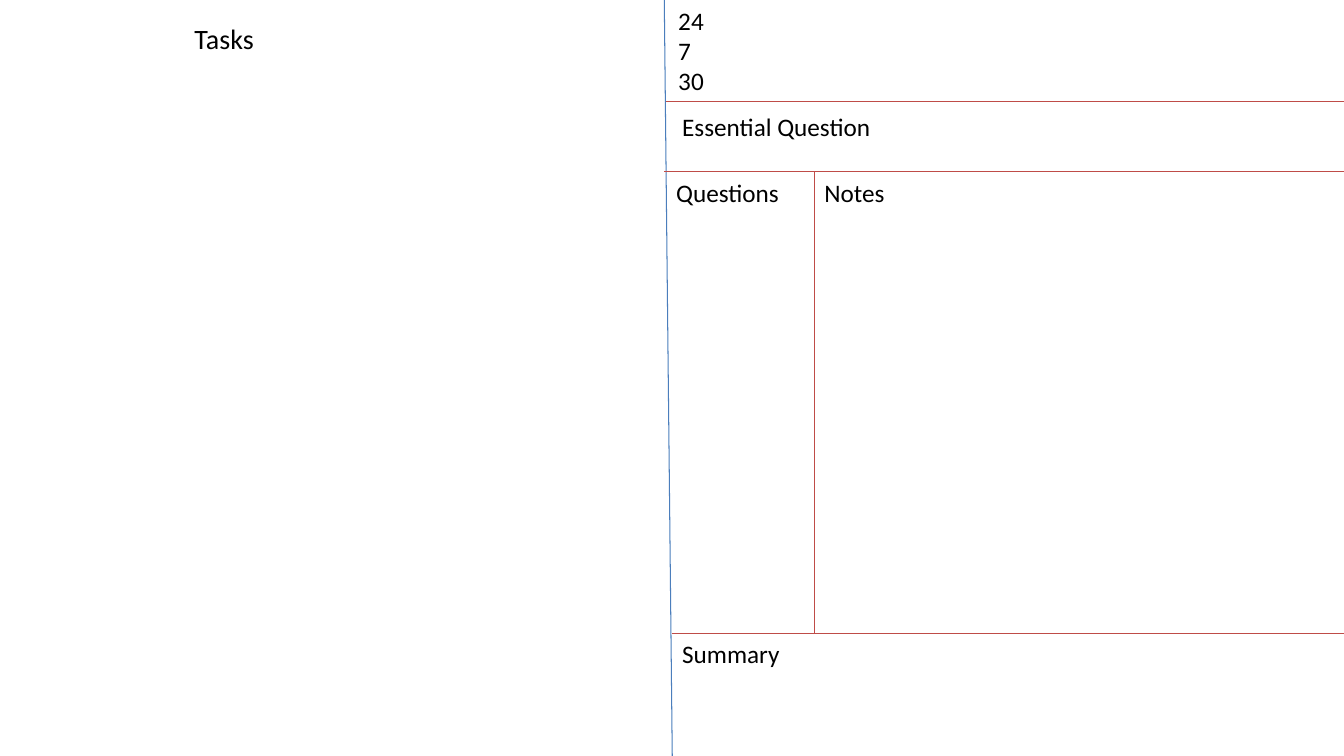
from dataclasses import dataclass

from pptx import Presentation
from pptx.dml.color import RGBColor
from pptx.enum.shapes import MSO_CONNECTOR
from pptx.enum.text import MSO_AUTO_SIZE
from pptx.oxml.ns import qn
from pptx.util import Pt


@dataclass(frozen=True)
class Theme:
    font: str = "Calibri"
    text: RGBColor = RGBColor(0x00, 0x00, 0x00)
    paper: RGBColor = RGBColor(0xFF, 0xFF, 0xFF)
    divider: RGBColor = RGBColor(0x4B, 0x7E, 0xBC)
    rule: RGBColor = RGBColor(0xBF, 0x4C, 0x48)
    label_size: float = 18
    heading_size: float = 20
    line_width: float = 0.75


class NotebookPage:
    def __init__(self, deck, theme):
        self.theme = theme
        self.page = deck.slides.add_slide(deck.slide_layouts[6])
        background = self.page.background.fill
        background.solid()
        background.fore_color.rgb = theme.paper

    def line(self, start, end, color):
        points = [Pt(value) for value in (*start, *end)]
        connector = self.page.shapes.add_connector(MSO_CONNECTOR.STRAIGHT, *points)
        connector.line.color.rgb = color
        connector.line.width = Pt(self.theme.line_width)
        properties = connector._element.spPr
        properties.append(properties.makeelement(qn("a:effectLst"), {}))

    def label(self, lines, left, top, width, height, size, wrap=False):
        box = self.page.shapes.add_textbox(Pt(left), Pt(top), Pt(width), Pt(height))
        frame = box.text_frame
        frame.word_wrap = wrap
        frame.auto_size = MSO_AUTO_SIZE.SHAPE_TO_FIT_TEXT
        for index, text in enumerate(lines):
            para = frame.add_paragraph() if index else frame.paragraphs[0]
            span = para.add_run()
            span.text = text
            span.font.name = self.theme.font
            span.font.size = Pt(size)
            span.font.color.rgb = self.theme.text


def main():
    width, height = 960, 540
    question_top, notes_top, summary_top = 72.7, 122.4, 452.2
    margin, notes_left = 480.2, 581.8

    deck = Presentation()
    deck.slide_width, deck.slide_height = Pt(width), Pt(height)
    theme = Theme()
    notebook = NotebookPage(deck, theme)

    # Divider between the two notebook pages
    notebook.line((474.5, 0), (margin, height), theme.divider)

    # Rules of the notes page
    for left, top in ((475.9, question_top), (474.5, notes_top), (margin, summary_top)):
        notebook.line((left, top), (width, top), theme.rule)
    notebook.line((notes_left, notes_top + 0.7), (notes_left, summary_top), theme.rule)

    # Page numbers
    notebook.label(["24", "7", "30"], 477.4, 0, 33.8, 72.7, theme.label_size, wrap=True)

    # Section labels
    for text, left, top, label_width in (
        ("Essential Question", margin, 76.3, 150.5),
        ("Notes", notes_left, notes_top + 0.7, 57.6),
        ("Questions", 475.9, notes_top + 0.7, 88.6),
        ("Summary", margin, summary_top, 85),
    ):
        notebook.label([text], left, top, label_width, 28.8, theme.label_size)

    # Left page heading
    notebook.label(["Tasks"], 131.8, 11.5, 57.6, 31.7, theme.heading_size)

    deck.save("out.pptx")


if __name__ == "__main__":
    main()
